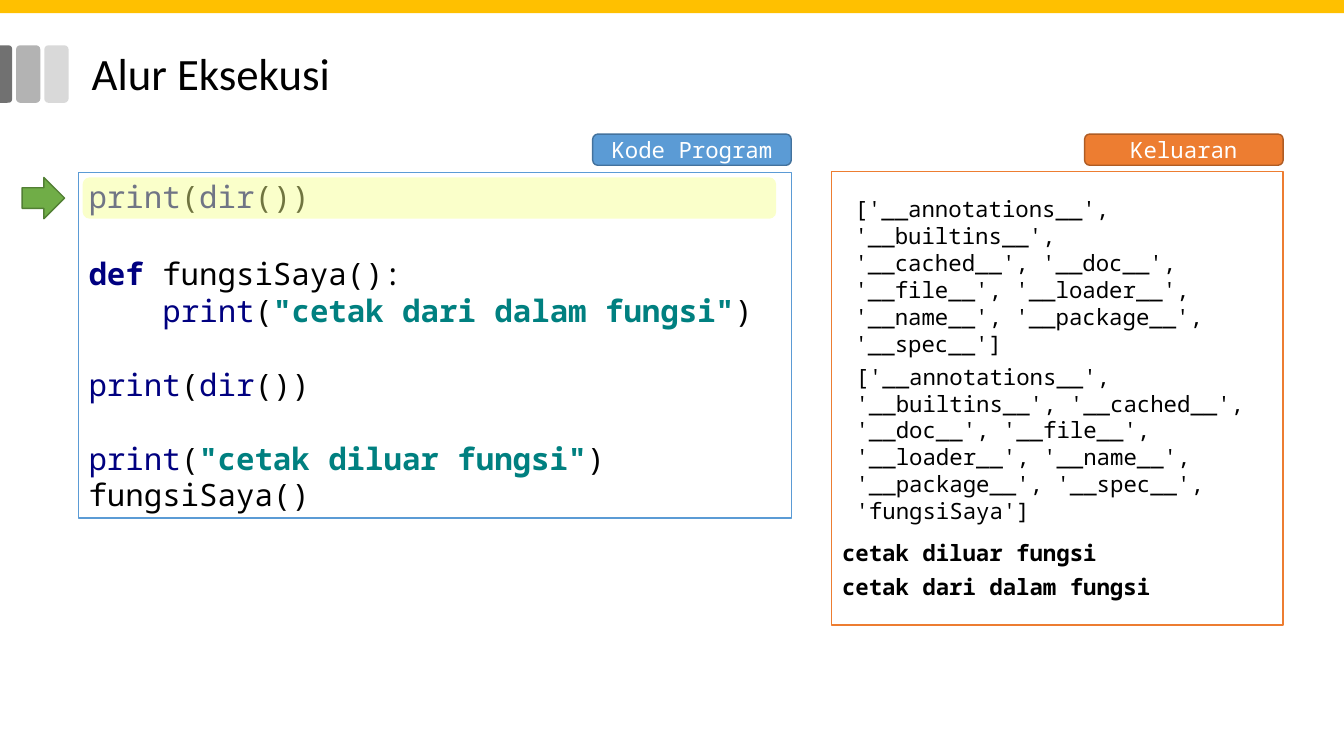
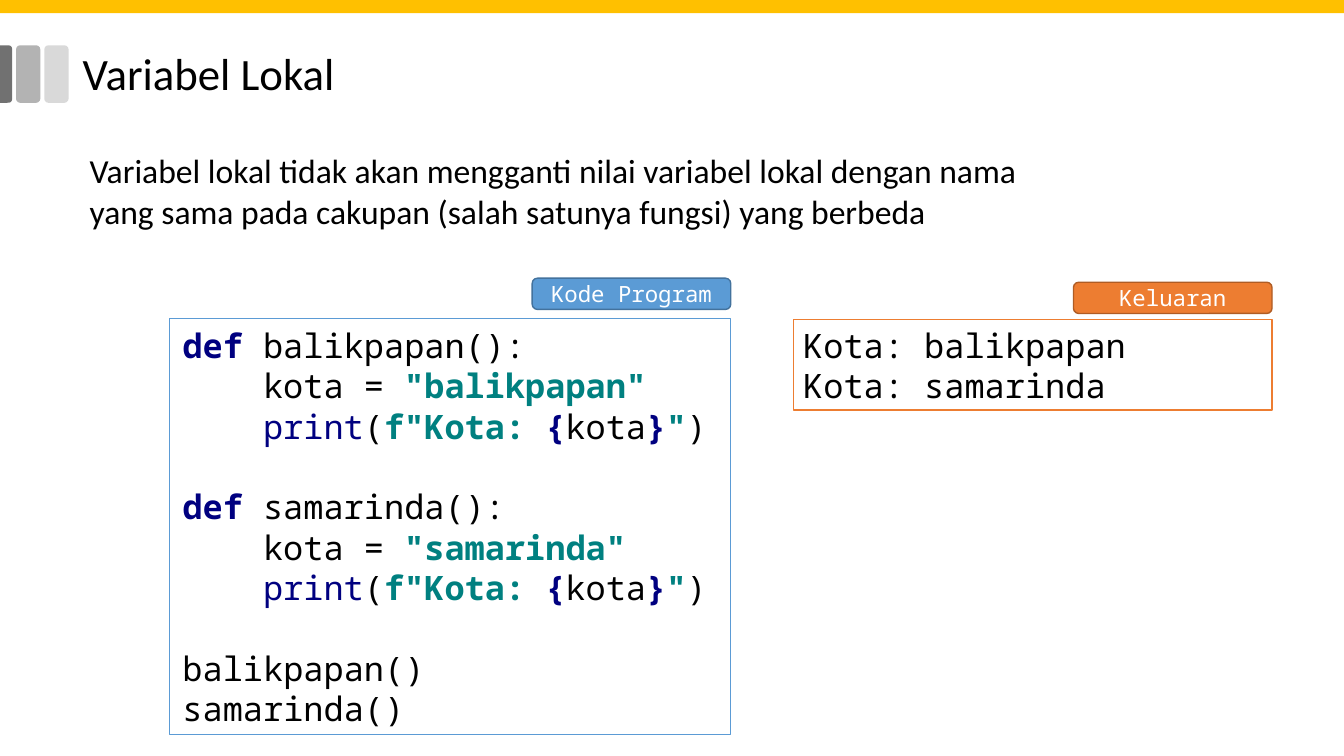
from dataclasses import dataclass
from typing import NamedTuple

from pptx import Presentation
from pptx.dml.color import RGBColor
from pptx.enum.shapes import MSO_SHAPE as Preset
from pptx.enum.text import MSO_ANCHOR as Anchor, MSO_AUTO_SIZE as AutoSize, PP_ALIGN as Align
from pptx.oxml.ns import qn
from pptx.util import Inches, Pt
from lxml import etree

# Grid: 160 columns by 90 rows of square cells
COLUMNS, ROWS = 160, 90
CELL = Inches(13.333) / COLUMNS

BODY_FONT, CODE_FONT = "Calibri", "Noto Sans Mono"
LINE_PITCH, CHAR_WIDTH = 1.2, 0.6  # shares of the font size

BLACK = RGBColor(0x00, 0x00, 0x00)
WHITE = RGBColor(0xFF, 0xFF, 0xFF)
NAVY = RGBColor(0x00, 0x00, 0x80)
TEAL = RGBColor(0x00, 0x80, 0x80)
GOLD = RGBColor(0xFF, 0xC0, 0x00)
BLUE = RGBColor(0x5B, 0x9B, 0xD5)
DARK_BLUE = RGBColor(0x43, 0x72, 0x9D)
ORANGE = RGBColor(0xED, 0x7D, 0x31)
DARK_ORANGE = RGBColor(0xAF, 0x5C, 0x24)
GREEN = RGBColor(0x70, 0xAD, 0x47)
DARK_GREEN = RGBColor(0x52, 0x7F, 0x34)
YELLOW = RGBColor(0xF5, 0xFF, 0x8D)
LIGHT_GREY = RGBColor(0xD9, 0xD9, 0xD9)
MID_GREY = RGBColor(0xB3, 0xB3, 0xB3)
DARK_GREY = RGBColor(0x71, 0x71, 0x71)

# Label styles: text, fill, outline
CODE_LABEL = ("Kode Program", BLUE, DARK_BLUE)
OUTPUT_LABEL = ("Keluaran", ORANGE, DARK_ORANGE)


class Box(NamedTuple):
    """Left, top, width and height in grid cells."""
    left: float
    top: float
    width: float
    height: float

    def inner(self, dx, dy, width, height):
        return Box(self.left + dx, self.top + dy, width, height)

    def lengths(self):
        return [round(cells * CELL) for cells in self]


@dataclass
class Line:
    """One line of text; indent in characters, gap in lines above."""
    spans: list
    indent: int = 0
    gap: float = 0


# Kinds of code spans: text, colour, bold
def plain(text):
    return text, BLACK, False


def keyword(text):
    return text, NAVY, True


def builtin(text):
    return text, NAVY, False


def string(text):
    return text, TEAL, True


# Drawing helpers
def write_text(shape, lines, font=CODE_FONT, size=16, color=BLACK, bold=False,
               align=Align.LEFT, anchor=Anchor.TOP, margins=(0.1, 0.05), spacing=None):
    frame = shape.text_frame
    frame.word_wrap = True
    frame.auto_size = AutoSize.NONE
    frame.vertical_anchor = anchor
    frame.margin_left = frame.margin_right = Inches(margins[0])
    frame.margin_top = frame.margin_bottom = Inches(margins[1])
    for number, line in enumerate(lines):
        if isinstance(line, str):
            line = Line([(line, color, bold)])
        para = frame.add_paragraph() if number else frame.paragraphs[0]
        para.alignment = align
        if spacing:
            para.line_spacing = spacing
        if line.gap:
            para.space_before = Pt(line.gap * size * LINE_PITCH)
        if line.indent:
            margin = Pt(line.indent * size * CHAR_WIDTH)
            para._p.get_or_add_pPr().set("marL", str(int(margin)))
        for text, span_color, span_bold in line.spans:
            span = para.add_run()
            span.text = text
            span.font.name = font
            span.font.size = Pt(size)
            span.font.bold = span_bold
            span.font.color.rgb = span_color


def add_text(page, box, lines, **text_format):
    write_text(page.shapes.add_textbox(*box.lengths()), lines, **text_format)


def add_block(page, preset, box, fill=None, outline=None, opacity=None):
    shape = page.shapes.add_shape(preset, *box.lengths())
    shape.shadow.inherit = False
    if fill is None:
        shape.fill.background()
    else:
        shape.fill.solid()
        shape.fill.fore_color.rgb = fill
    if outline is None:
        shape.line.fill.background()
    else:
        shape.line.color.rgb = outline
        shape.line.width = Pt(1)
    if opacity is not None:
        tint = shape.element.spPr.find(".//" + qn("a:srgbClr"))
        etree.SubElement(tint, qn("a:alpha"), val=str(opacity * 1000))
    return shape


# Parts shared by every slide
def add_page(deck, title, title_left):
    page = deck.slides.add_slide(deck.slide_layouts[5])
    heading = page.shapes.title
    box = Box(title_left, 4.56, 138, 9)
    heading.left, heading.top, heading.width, heading.height = box.lengths()
    write_text(heading, [title], font=BODY_FONT, size=32, margins=(0.13, 0.13), spacing=0.9)
    add_block(page, Preset.RECTANGLE, Box(0, 0, COLUMNS, 1.56), GOLD)
    add_title_bars(page, Box(0, 5.4, 8.16, 6.84))
    return page


def add_title_bars(page, box):
    width, gap, edge = 2.88, 0.48, 1.44
    for place, grey in enumerate((LIGHT_GREY, MID_GREY), start=1):
        left = box.width - place * width - (place - 1) * gap
        add_block(page, Preset.ROUNDED_RECTANGLE, box.inner(left, 0, width, box.height), grey)
    # Bar cut by the slide's edge: rotated, so placed around its centre
    offset = (box.height - edge) / 2
    bar = add_block(page, Preset.ROUND_2_SAME_RECTANGLE,
                    box.inner(-offset, offset, box.height, edge), DARK_GREY)
    bar.rotation = 90
    bar.adjustments[0], bar.adjustments[1] = 0.29, 0


def add_panel(page, box, label, lines=(), rise=4.44, fill=None, **text_format):
    """Outlined box with a label above its right end."""
    caption, color, outline = label
    panel = add_block(page, Preset.RECTANGLE, box, fill, color)
    if lines:
        write_text(panel, lines, **text_format)
    width, height = 23.64, 3.72
    tag = add_block(page, Preset.ROUNDED_RECTANGLE,
                    box.inner(box.width - width, -rise, width, height), color, outline)
    write_text(tag, [caption], color=WHITE, align=Align.CENTER, anchor=Anchor.MIDDLE)


def add_line_marker(page, box):
    """Arrow and highlight on the first line of a code panel."""
    top, height = 0.6, 4.92
    add_block(page, Preset.ROUNDED_RECTANGLE,
              box.inner(0.48, top, box.width - 2.28, height), YELLOW, opacity=46)
    add_block(page, Preset.RIGHT_ARROW, box.inner(-6.72, top, 5.04, height), GREEN, DARK_GREEN)


# Slide 1
def print_dir(gap=0):
    return Line([builtin("print"), plain("("), builtin("dir"), plain("())")], gap=gap)


def print_string(text, **layout):
    return Line([builtin("print"), plain("("), string(f'"{text}"'), plain(")")], **layout)


def build_flow_page(deck):
    page = add_page(deck, "Alur Eksekusi", 9.36)
    code_box = Box(9.36, 20.52, 84.84, 41.16)
    add_panel(page, code_box, CODE_LABEL, [
        print_dir(),
        Line([keyword("def "), plain("fungsiSaya():")], gap=1.09),
        print_string("cetak dari dalam fungsi", indent=4),
        print_dir(gap=1),
        print_string("cetak diluar fungsi", gap=1),
        Line([plain("fungsiSaya()")]),
    ], rise=4.56, size=22)
    add_line_marker(page, code_box)

    output_box = Box(99, 20.4, 53.76, 54)
    add_panel(page, output_box, OUTPUT_LABEL)
    words = ("annotations", "builtins", "cached", "doc", "file", "loader",
             "name", "package", "spec")
    names = [f"__{word}__" for word in words]
    add_text(page, output_box.inner(1.56, 2.28, 48.6, 20.4), [str(names)])
    add_text(page, output_box.inner(1.68, 22.2, 50.28, 20.4), [str(names + ["fungsiSaya"])])
    for row, text in enumerate(("cetak diluar fungsi", "cetak dari dalam fungsi")):
        add_text(page, output_box.inner(0.06, 43.2 + 4.08 * row, 50, 4.44), [text], bold=True)


# Slide 2
def city_function(city, gap=0):
    return [
        Line([keyword("def "), plain(f"{city}():")], gap=gap),
        Line([plain("kota = "), string(f'"{city}"')], indent=4),
        Line([builtin("print"), plain("("), string('f"Kota: '), keyword("{"), plain("kota"),
              keyword("}"), string('"'), plain(")")], indent=4),
    ]


def build_local_page(deck):
    page = add_page(deck, "Variabel Lokal", 8.28)
    add_text(page, Box(9.48, 17.28, 117.6, 10.8), [
        "Variabel lokal tidak akan mengganti nilai variabel lokal dengan nama "
        "yang sama pada cakupan (salah satunya fungsi) yang berbeda",
    ], font=BODY_FONT, size=24)
    cities = ("balikpapan", "samarinda")
    code = [line for place, city in enumerate(cities) for line in city_function(city, gap=place)]
    calls = [Line([plain(f"{city}()")], gap=1 - place) for place, city in enumerate(cities)]
    add_panel(page, Box(20.16, 37.92, 66.84, 49.56), CODE_LABEL, code + calls, rise=4.8,
              fill=WHITE, size=24, anchor=Anchor.MIDDLE, margins=(0.13, 0.07))
    add_panel(page, Box(94.44, 38.04, 57, 10.8), OUTPUT_LABEL,
              [f"Kota: {city}" for city in cities], size=24)


def main():
    deck = Presentation()
    deck.slide_width, deck.slide_height = round(COLUMNS * CELL), round(ROWS * CELL)
    build_flow_page(deck)
    build_local_page(deck)
    deck.save("out.pptx")


if __name__ == "__main__":
    main()
